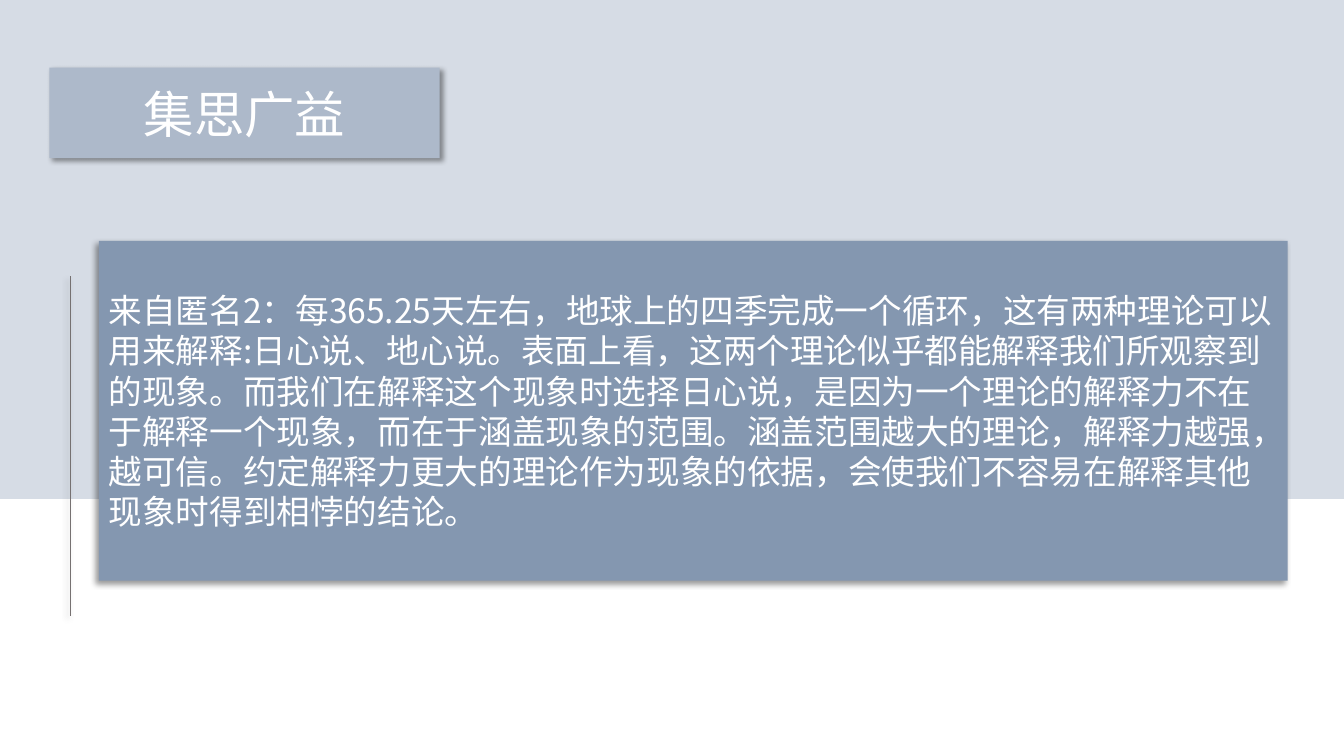
from lxml.etree import SubElement
from pptx import Presentation
from pptx.dml.color import RGBColor as Rgb
from pptx.enum.shapes import MSO_CONNECTOR as Connector, MSO_SHAPE as Shape
from pptx.enum.text import MSO_ANCHOR as Anchor, PP_ALIGN as Align
from pptx.oxml.ns import qn
from pptx.util import Inches, Pt

COLORS = {
    "band": "D6DCE5",
    "panel": "8497B0",
    "heading": "ADB9CA",
    "rule": "767171",
    "text": "FFFFFF",
    "shadow": "000000",
}
FONT = "Noto Sans CJK SC"
HEADING = "集思广益"
OPINION = (
    "来自匿名2：每365.25天左右，地球上的四季完成一个循环，这有两种理论可以用来解释:"
    "日心说、地心说。表面上看，这两个理论似乎都能解释我们所观察到的现象。"
    "而我们在解释这个现象时选择日心说，是因为一个理论的解释力不在于解释一个现象，"
    "而在于涵盖现象的范围。涵盖范围越大的理论，解释力越强，越可信。"
    "约定解释力更大的理论作为现象的依据，会使我们不容易在解释其他现象时得到相悖的结论。"
)


class SlideBuilder:
    def __init__(self, slide, colors, font):
        self.slide = slide
        self.colors = colors
        self.font = font

    def color(self, name):
        return Rgb.from_string(self.colors[name])

    def block(self, left, top, width, height, fill, outline=None):
        box = self.slide.shapes.add_shape(
            Shape.RECTANGLE, *map(Inches, (left, top, width, height)))
        box.shadow.inherit = False
        box.fill.solid()
        box.fill.fore_color.rgb = self.color(fill)
        if outline:
            box.line.color.rgb = self.color(fill)
            box.line.width = Pt(outline)
        else:
            box.line.fill.background()
        return box

    def rule(self, x, top, bottom, width):
        line = self.slide.shapes.add_connector(
            Connector.STRAIGHT, *map(Inches, (x, top, x, bottom)))
        line.line.color.rgb = self.color("rule")
        line.line.width = Pt(width)
        SubElement(line._element.spPr, qn("a:effectLst"))
        return line

    def cast_shadow(self, shape, direction):
        """Fill the shape's empty effect list with a soft outer shadow."""
        effects = shape._element.spPr.find(qn("a:effectLst"))
        shadow = SubElement(effects, qn("a:outerShdw"), {
            "blurRad": str(Pt(4)), "dist": str(Pt(3)),
            "dir": str(direction * 60000), "rotWithShape": "0"})
        tint = SubElement(shadow, qn("a:srgbClr"), val=self.colors["shadow"])
        SubElement(tint, qn("a:alpha"), val="40000")

    def add_text(self, box, text, size, align):
        frame = box.text_frame
        frame.word_wrap = True
        frame.vertical_anchor = Anchor.MIDDLE
        paragraph = frame.paragraphs[0]
        paragraph.alignment = align
        run = paragraph.add_run()
        run.text = text
        run.font.color.rgb = self.color("text")
        for key, value in {"size": Pt(size), "name": self.font}.items():
            setattr(run.font, key, value)
        SubElement(run._r.get_or_add_rPr(), qn("a:ea"), typeface=self.font)


def main():
    deck = Presentation()
    deck.slide_width, deck.slide_height = Inches(13.33), Inches(7.5)
    slide = deck.slides.add_slide(deck.slide_layouts[6])
    builder = SlideBuilder(slide, COLORS, FONT)

    builder.block(0, 0, 13.33, 4.94, "band", outline=1)

    opinion = builder.block(0.98, 2.39, 11.79, 3.37, "panel")
    builder.add_text(opinion, OPINION, 24, Align.LEFT)
    builder.cast_shadow(opinion, 135)

    heading = builder.block(0.49, 0.67, 3.87, 0.9, "heading")
    builder.add_text(heading, HEADING, 36, Align.CENTER)
    builder.cast_shadow(heading, 45)

    side_rule = builder.rule(0.7, 2.74, 6.11, 0.5)
    builder.cast_shadow(side_rule, 135)

    deck.save("out.pptx")


if __name__ == "__main__":
    main()
